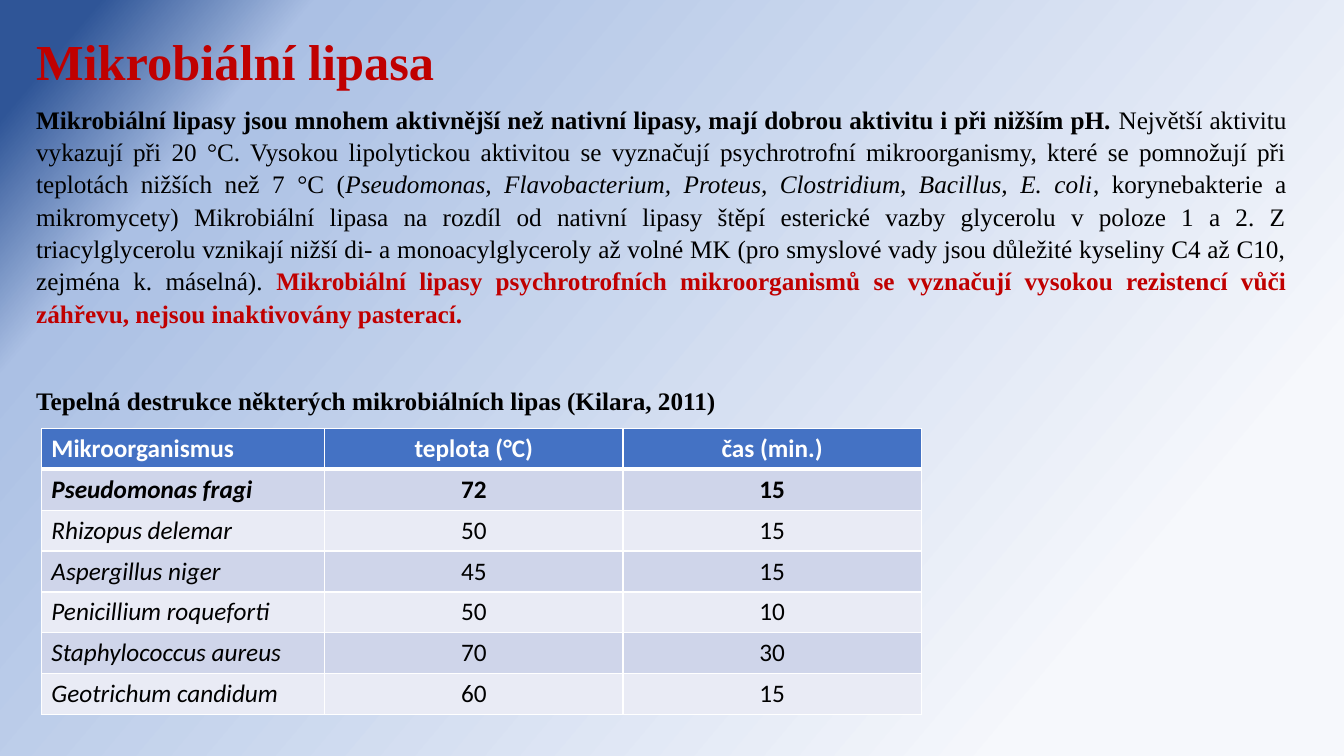
from copy import deepcopy
from lxml.etree import SubElement as Sub
from pptx import Presentation
from pptx.dml.color import RGBColor as Rgb
from pptx.enum.text import MSO_AUTO_SIZE as Auto, PP_ALIGN as Align
from pptx.oxml.ns import qn
from pptx.util import Inches, Pt

RED, BLACK, WHITE = "C00000", "000000", "FFFFFF"
BLUE, BANDS = "4472C4", ("CFD5EA", "E9EBF5")
SERIF, SANS = "Times New Roman", "Calibri"


def tint(code):
    return Rgb.from_string(code)


class Deck:
    para = {"alignment": Align.JUSTIFY, "line_spacing": 1.07, "space_after": Pt(8)}

    def __init__(self, wide, high):
        self.prs = Presentation()
        self.prs.slide_width, self.prs.slide_height = Inches(wide), Inches(high)
        self.slide = self.prs.slides.add_slide(self.prs.slide_layouts[6])

    def across(self, share):
        return int(self.prs.slide_width * share / 100)

    def down(self, share):
        return int(self.prs.slide_height * share / 100)

    def box(self, left, top, wide, high):
        return self.across(left), self.down(top), self.across(wide), self.down(high)

    def style(self, item, values):
        for name, value in values.items():
            setattr(item, name, value)

    def phrase(self, para, text, color=BLACK, **form):
        run = para.add_run()
        run.text = text
        self.style(run.font, form)
        run.font.color.rgb = tint(color)

    def backdrop(self, stops, angle):
        fill = self.slide.background.fill
        fill.gradient()
        fill.gradient_angle = angle
        last = list(self.slide.element.iter(qn("a:gs")))[-1]
        last.addnext(deepcopy(last))
        for stop, (place, code) in zip(fill.gradient_stops, stops):
            stop.position = place
            stop.color.rgb = tint(code)

    def text(self, area, paras):
        frame = self.slide.shapes.add_textbox(*self.box(*area)).text_frame
        self.style(frame, {"word_wrap": True, "auto_size": Auto.SHAPE_TO_FIT_TEXT})
        for n, (form, size, runs) in enumerate(paras):
            para = frame.add_paragraph() if n else frame.paragraphs[0]
            self.style(para, {**self.para, **form})
            for words, look in runs:
                self.phrase(para, words, size=Pt(size), name=SERIF, **look)

    def edge(self, cell, widths):
        props = cell._tc.get_or_add_tcPr()
        for n, (side, width) in enumerate(widths.items()):
            line = Sub(props, qn("a:ln" + side), w=str(Pt(width)))
            Sub(Sub(line, qn("a:solidFill")), qn("a:srgbClr"), val=WHITE)
            props.insert(n, line)

    def table(self, left, top, cols, high, rows):
        area = self.box(left, top, sum(cols), high * len(rows))
        grid = self.slide.shapes.add_table(len(rows), len(cols), *area).table
        for col, wide in zip(grid.columns, cols):
            col.width = self.across(wide)
        for r, row in enumerate(rows):
            grid.rows[r].height = self.down(high)
            for c, words in enumerate(row):
                cell = grid.cell(r, c)
                cell.fill.solid()
                cell.fill.fore_color.rgb = tint(BANDS[(r - 1) % 2] if r else BLUE)
                self.edge(cell, {"L": 1, "R": 1, "T": 3 if r == 1 else 1, "B": 1 if r else 3})
                para = cell.text_frame.paragraphs[0]
                para.alignment = Align.CENTER if c else Align.LEFT
                self.phrase(para, words, BLACK if r else WHITE, size=Pt(18), name=SANS,
                            bold=r < 2, italic=r > 0 and c == 0)


def main():
    deck = Deck(13.33, 7.5)
    deck.backdrop([(0.17, "F6F8FC"), (0.84, "ABC0E4"), (0.95, "2F5597")], 140)
    bold, warn = {"bold": True}, {"bold": True, "color": RED}
    deck.text((1.95, 2.8, 94.52, 58.93), [
        ({}, 36, [("Mikrobiální lipasa", warn)]),
        ({}, 18, [
            ("Mikrobiální lipasy jsou mnohem aktivnější než nativní lipasy, mají dobrou "
             "aktivitu i při nižším pH. ", bold),
            ("Největší aktivitu vykazují při 20 °C. Vysokou lipolytickou aktivitou se "
             "vyznačují psychrotrofní mikroorganismy, které se pomnožují při teplotách "
             "nižších než 7 °C (", {}),
            ("Pseudomonas, Flavobacterium, Proteus, Clostridium, Bacillus, E. coli",
             {"italic": True}),
            (", korynebakterie a mikromycety) Mikrobiální lipasa na rozdíl od nativní "
             "lipasy štěpí esterické vazby glycerolu v poloze 1 a 2. Z triacylglycerolu "
             "vznikají nižší di- a monoacylglyceroly až volné MK (pro smyslové vady jsou "
             "důležité kyseliny C4 až C10, zejména k. máselná). ", {}),
            ("Mikrobiální lipasy psychrotrofních mikroorganismů se vyznačují vysokou "
             "rezistencí vůči záhřevu, nejsou inaktivovány pasterací.", warn),
        ]),
        ({"space_before": Pt(31)}, 18, [
            ("Tepelná destrukce některých mikrobiálních lipas (Kilara, 2011)", bold)]),
    ])
    deck.table(3.08, 56.67, (21.08, 22.2, 22.2), 5.41, [
        ("Mikroorganismus", "teplota (°C)", "čas (min.)"),
        ("Pseudomonas fragi", "72", "15"),
        ("Rhizopus delemar", "50", "15"),
        ("Aspergillus niger", "45", "15"),
        ("Penicillium roqueforti", "50", "10"),
        ("Staphylococcus aureus", "70", "30"),
        ("Geotrichum candidum", "60", "15"),
    ])
    deck.prs.save("out.pptx")


if __name__ == "__main__":
    main()
